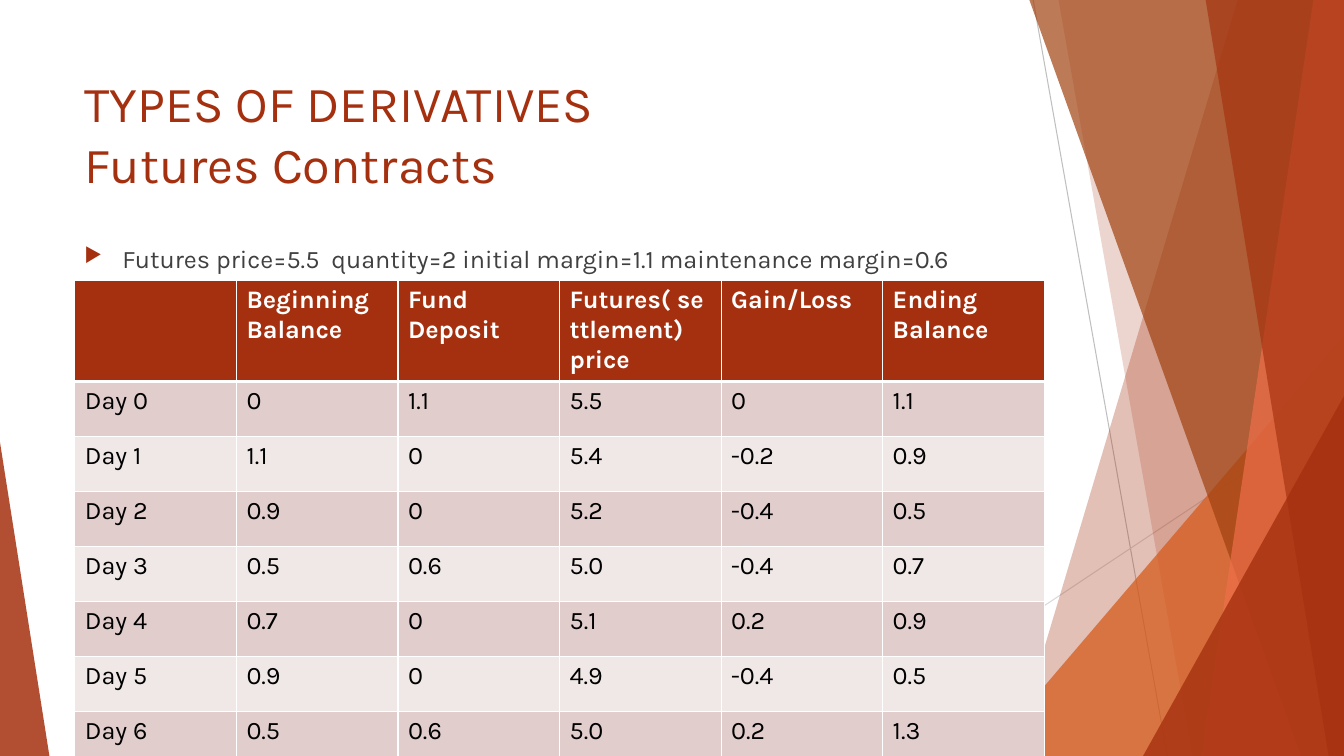
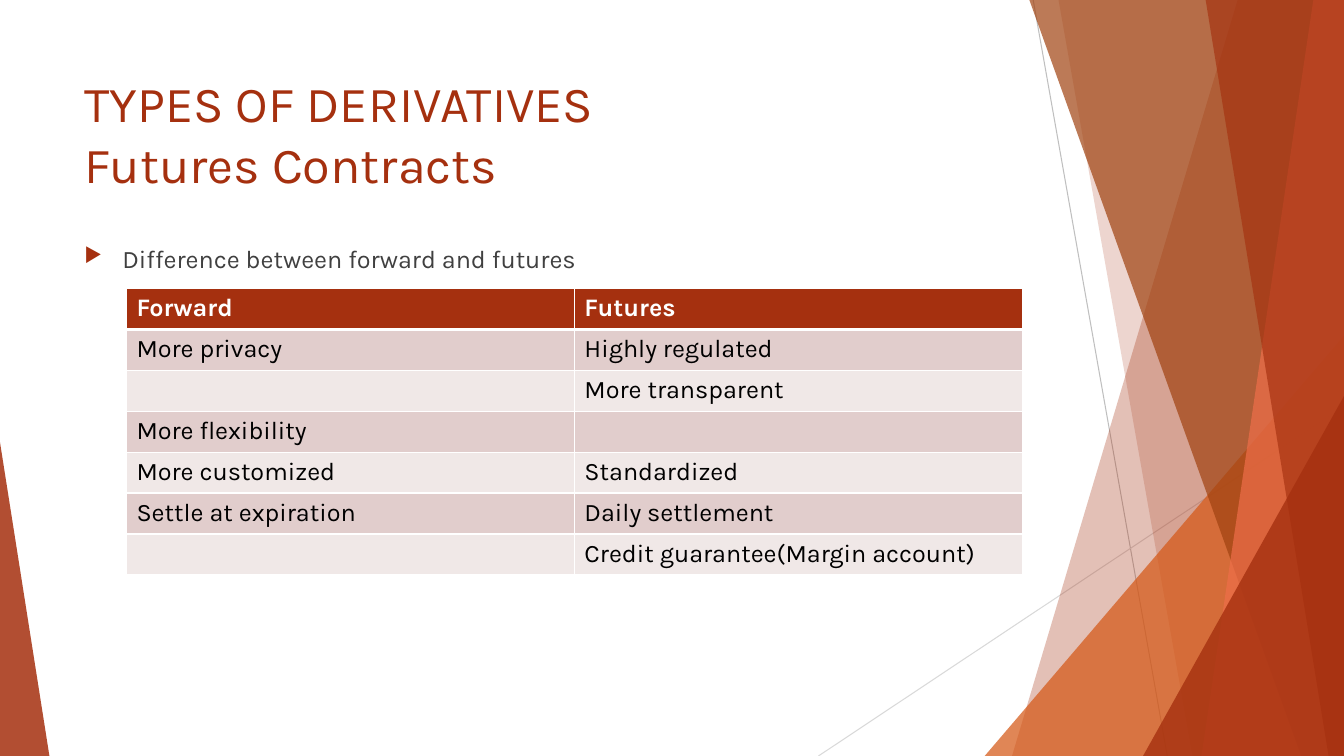
"""Build two slides on futures contracts with a shared faceted frame."""
import pptx
import pptx.dml.color
import pptx.enum.shapes
import pptx.enum.text
import pptx.oxml
import pptx.oxml.ns
import pptx.util
from lxml import etree

Pt = pptx.util.Pt
qn = pptx.oxml.ns.qn

FONT = "Karla"
WIDTH, HEIGHT = 960, 540
COLORS = {
    "brick": "A5300F", "orange": "D55816", "rust": "A04210", "coral": "EE6E4A",
    "text": "404040", "black": "000000", "white": "FFFFFF",
    "band": "E1CDCC", "pale": "F0E8E7", "gray": "BFBFBF", "light": "D9D9D9",
}
TITLE = ["TYPES OF DERIVATIVES", "Futures Contracts"]
SLIDES = [
    {
        "bullet": "Futures price=5.5  quantity=2 initial margin=1.1 maintenance margin=0.6",
        "place": (53.5, 200.5, 692.4), "row_height": 39.3,
        "rows": [
            ["", "Beginning Balance", "Fund\nDeposit", "Futures( settlement) price",
             "Gain/Loss", "Ending Balance"],
            ["Day 0", "0", "1.1", "5.5", "0", "1.1"],
            ["Day 1", "1.1", "0", "5.4", "-0.2", "0.9"],
            ["Day 2", "0.9", "0", "5.2", "-0.4", "0.5"],
            ["Day 3", "0.5", "0.6", "5.0", "-0.4", "0.7"],
            ["Day 4", "0.7", "0", "5.1", "0.2", "0.9"],
            ["Day 5", "0.9", "0", "4.9", "-0.4", "0.5"],
            ["Day 6", "0.5", "0.6", "5.0", "0.2", "1.3"],
        ],
    },
    {
        "bullet": "Difference between forward and futures",
        "place": (90.3, 206.2, 640), "row_height": 29.2,
        "rows": [
            ["Forward", "Futures"],
            ["More privacy", "Highly regulated"],
            ["", "More transparent"],
            ["More flexibility", ""],
            ["More customized", "Standardized"],
            ["Settle at expiration", "Daily settlement"],
            ["", "Credit guarantee(Margin account)"],
        ],
    },
]
LINES = [(738, 0, 833.8, HEIGHT, "gray"), (WIDTH, 290.2, 584.6, HEIGHT, "light")]
FACETS = [
    ("blade", 884.2, 722.9, "brick", 30),
    ("blade", 756, 851.8, "brick", 20),
    ("triangle", (703.4, 239.8, 256.6), 1, "orange", 72),
    ("blade", 735.1, 929.5, "rust", 70),
    ("blade", 938.2, 858.2, "coral", 70),
    ("blade", 861.1, 949, "brick", 65),
    ("triangle", (816.5, 283, 143.5), 1, "brick", 80),
    ("triangle", (0, 316, 35.3), 0, "brick", 85),
]


def rgb(name):
    return pptx.dml.color.RGBColor.from_string(COLORS[name])


def add_color(parent, name):
    return etree.SubElement(parent, qn("a:srgbClr"), val=COLORS[name])


def add_blade(page, top_x, bottom_x):
    builder = page.shapes.build_freeform(Pt(top_x), Pt(-0.5))
    corners = [(WIDTH, -0.5), (WIDTH, HEIGHT), (bottom_x, HEIGHT)]
    builder.add_line_segments([(Pt(x), Pt(y)) for x, y in corners], close=True)
    return builder.convert_to_shape()


def add_triangle(page, place, apex):
    left, top, width = place
    shape = page.shapes.add_shape(
        pptx.enum.shapes.MSO_SHAPE.ISOSCELES_TRIANGLE,
        Pt(left), Pt(top), Pt(width), Pt(HEIGHT - top))
    shape.adjustments[0] = apex
    return shape


def add_frame(page):
    for x1, y1, x2, y2, color in LINES:
        line = page.shapes.add_connector(
            pptx.enum.shapes.MSO_CONNECTOR.STRAIGHT, Pt(x1), Pt(y1), Pt(x2), Pt(y2))
        line.line.color.rgb = rgb(color)
        line.line.width = Pt(0.75)
        etree.SubElement(line._element.spPr, qn("a:effectLst"))
    makers = {"blade": add_blade, "triangle": add_triangle}
    for kind, first, second, color, opacity in FACETS:
        shape = makers[kind](page, first, second)
        shape.shadow.inherit = False
        shape.line.fill.background()
        shape.fill.solid()
        shape.fill.fore_color.rgb = rgb(color)
        tint = shape._element.spPr.find(qn("a:solidFill"))[0]
        etree.SubElement(tint, qn("a:alpha"), val=str(opacity * 1000))


def style_font(font, size, color, bold=False):
    font.name = FONT
    font.size = Pt(size)
    font.bold = bold
    font.color.rgb = rgb(color)


def add_span(para, text, size, color, bold=False):
    span = para.add_run()
    span.text = text
    style_font(span.font, size, color, bold)


def add_box(page, top, height):
    box = page.shapes.add_textbox(Pt(53.3), Pt(top), Pt(676.8), Pt(height))
    box.text_frame.word_wrap = True
    box.text_frame.vertical_anchor = pptx.enum.text.MSO_ANCHOR.TOP
    return box.text_frame.paragraphs[0]


def add_title(page):
    para = add_box(page, 48, 104)
    for index, text in enumerate(TITLE):
        if index:
            para.add_line_break()
        add_span(para, text, 36, "brick")


def add_bullet(page, text):
    para = add_box(page, 170.1, 305.6)
    props = para._p.get_or_add_pPr()
    props.set("marL", str(Pt(27)))
    props.set("indent", str(Pt(-27)))
    add_color(etree.SubElement(props, qn("a:buClr")), "brick")
    etree.SubElement(props, qn("a:buSzPct"), val="80000")
    etree.SubElement(props, qn("a:buChar"), char="▶")
    add_span(para, text, 18, "text")


def set_borders(cell, row_index):
    props = cell._tc.get_or_add_tcPr()
    widths = {"L": 1, "R": 1, "T": 3 if row_index == 1 else 1, "B": 3 if row_index == 0 else 1}
    for side, width in widths.items():
        line = etree.SubElement(props, qn(f"a:ln{side}"), w=str(Pt(width)))
        add_color(etree.SubElement(line, qn("a:solidFill")), "white")


def fill_cell(cell, text, row_index):
    header = row_index == 0
    set_borders(cell, row_index)
    cell.fill.solid()
    cell.fill.fore_color.rgb = rgb("brick" if header else ("pale", "band")[row_index % 2])
    for index, part in enumerate(text.split("\n")):
        frame = cell.text_frame
        para = frame.add_paragraph() if index else frame.paragraphs[0]
        color = "white" if header else "black"
        if part:
            add_span(para, part, 18, color, header)
        else:
            style_font(para.font, 18, color, header)


def add_grid(page, rows, place, row_height):
    left, top, width = place
    count = len(rows[0])
    table = page.shapes.add_table(
        len(rows), count, Pt(left), Pt(top), Pt(width), Pt(row_height * len(rows))).table
    table.horz_banding = False
    for column in table.columns:
        column.width = Pt(width / count)
    for row_index, texts in enumerate(rows):
        table.rows[row_index].height = Pt(row_height)
        for column_index, text in enumerate(texts):
            fill_cell(table.cell(row_index, column_index), text, row_index)


def main():
    deck = pptx.Presentation()
    deck.slide_width, deck.slide_height = Pt(WIDTH), Pt(HEIGHT)
    for content in SLIDES:
        page = deck.slides.add_slide(deck.slide_layouts[6])
        add_frame(page)
        add_title(page)
        add_bullet(page, content["bullet"])
        add_grid(page, content["rows"], content["place"], content["row_height"])
    deck.save("out.pptx")


if __name__ == "__main__":
    main()
